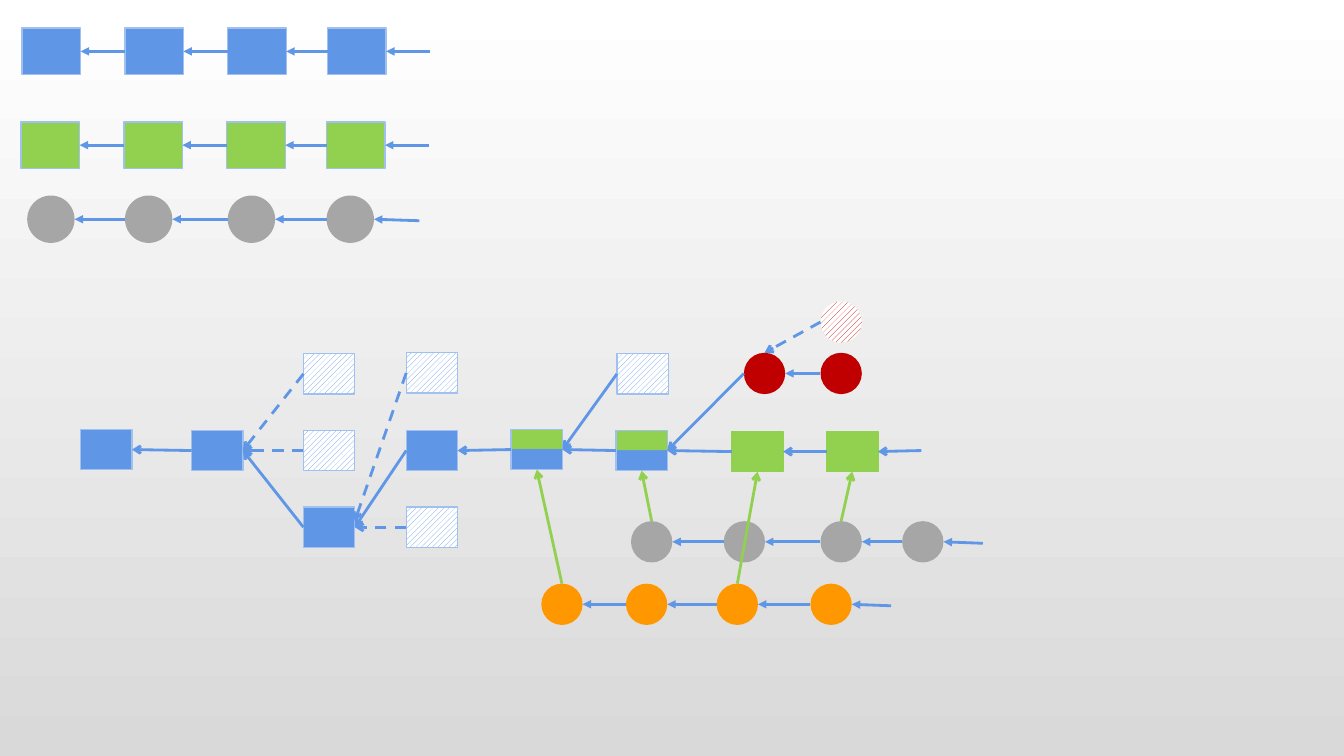
"""Build a slide of linked block chains and a branching block tree."""
from lxml import etree
from pptx import Presentation
from pptx.dml.color import RGBColor
from pptx.enum.dml import MSO_LINE, MSO_PATTERN
from pptx.enum.shapes import MSO_CONNECTOR, MSO_SHAPE
from pptx.oxml.ns import qn
from pptx.util import Emu, Pt

PX = 9144
RECT, OVAL = MSO_SHAPE.RECTANGLE, MSO_SHAPE.OVAL
STRAIGHT = MSO_CONNECTOR.STRAIGHT
HATCH = MSO_PATTERN.WIDE_UPWARD_DIAGONAL
DASH = MSO_LINE.DASH
TOP, LEFT, BOTTOM, RIGHT = range(4)
BLUE, PALE, GREEN, GREY = "6096E6", "A0C0F0", "92D050", "A6A6A6"
ORANGE, RED, WHITE = "FF9800", "C00000", "FFFFFF"
rgb = RGBColor.from_string

prs = Presentation()
prs.slide_width, prs.slide_height = Emu(12192000), Emu(750 * PX)
slide = prs.slides.add_slide(prs.slide_layouts[6])


def add_node(kind, left, top, size, style, colour, outline):
    node = slide.shapes.add_shape(kind, *(v * PX for v in (left, top, *size)))
    node.shadow.inherit = False
    if style == "hatched":
        node.fill.patterned()
        node.fill.pattern = HATCH
        node.fill.fore_color.rgb = rgb(colour)
        node.fill.back_color.rgb = rgb(WHITE)
    elif style == "split":
        node.fill.gradient()
        node.fill.gradient_angle = 270
        for stop, at, half in zip(node.fill.gradient_stops, (0.49, 0.5), (GREEN, BLUE)):
            stop.position, stop.color.rgb = at, rgb(half)
    else:
        node.fill.solid()
        node.fill.fore_color.rgb = rgb(colour)
    if outline:
        node.line.color.rgb = rgb(outline)
        node.line.width = Pt(1)
    else:
        node.line.fill.background()
    return node


def add_link(start, finish, arrow_end, arrow, colour=BLUE, dash=None):
    points = []
    for owner, side in (start, finish):
        if owner is None:
            points += [v * PX for v in side]
        else:
            points += [owner.left + int(owner.width * (0.5, 0, 0.5, 1)[side]),
                       owner.top + int(owner.height * (0, 0.5, 1, 0.5)[side])]
    link = slide.shapes.add_connector(STRAIGHT, *points)
    for (owner, side), join in ((start, link.begin_connect), (finish, link.end_connect)):
        if owner is not None and owner.auto_shape_type == RECT:
            join(owner, side)
    link.line.color.rgb = rgb(colour)
    link.line.width = Pt(2)
    if dash:
        link.line.dash_style = dash
    etree.SubElement(link.line._get_or_add_ln(), qn(f"a:{arrow_end}"), type=arrow)
    etree.SubElement(link._element.spPr, qn("a:effectLst"))


backdrop = slide.background.fill
backdrop.gradient()
backdrop.gradient_angle = 270
for stop, at, shade in zip(backdrop.gradient_stops, (0, 1), (WHITE, "D9D9D9")):
    stop.position, stop.color.rgb = at, rgb(shade)

BLOCK, COIN, SMALL_BLOCK, SMALL_COIN = (58, 46), (47, 47), (51, 40), (41, 41)
chains = {
    "blue": (RECT, BLOCK, BLUE, PALE, 28, (22, 124, 226, 325), (427, 51)),
    "green": (RECT, BLOCK, GREEN, PALE, 121, (21, 123, 225, 324), (426, 144)),
    "grey": (OVAL, COIN, GREY, None, 194, (27, 124, 226, 324), (416, 219)),
    "small grey": (OVAL, SMALL_COIN, GREY, None, 517, (626, 718, 814, 895), (975, 539)),
    "orange": (OVAL, SMALL_COIN, ORANGE, None, 579, (537, 621, 711, 804), (884, 601)),
    "red": (OVAL, SMALL_COIN, RED, None, 350, (738, 814), None),
}
nodes = {}
for chain, (kind, size, colour, outline, top, lefts, tail) in chains.items():
    row = [add_node(kind, left, top, size, "solid", colour, outline) for left in lefts]
    for older, newer in zip(row, row[1:]):
        add_link((older, RIGHT), (newer, LEFT), "headEnd", "triangle")
    if tail:
        add_link((row[-1], RIGHT), (None, tail), "headEnd", "triangle")
    for number, node in enumerate(row, 1):
        nodes[f"{chain} {number}"] = node

tree = {
    "root": (80, 426, "solid", BLUE, PALE),
    "fork": (190, 427, "solid", BLUE, PALE),
    "upper stale": (301, 351, "hatched", BLUE, PALE),
    "middle stale": (301, 427, "hatched", BLUE, PALE),
    "lower": (301, 503, "solid", BLUE, PALE),
    "late upper stale": (403, 350, "hatched", BLUE, PALE),
    "main": (403, 427, "solid", BLUE, PALE),
    "late lower stale": (403, 503, "hatched", BLUE, PALE),
    "split 1": (507, 426, "split", None, PALE),
    "split 2": (611, 427, "split", None, PALE),
    "split stale": (612, 351, "hatched", BLUE, PALE),
    "new 1": (726, 428, "solid", GREEN, GREEN),
    "new 2": (820, 428, "solid", GREEN, GREEN),
}
for name, (left, top, *look) in tree.items():
    nodes[name] = add_node(RECT, left, top, SMALL_BLOCK, *look)
nodes["red stale"] = add_node(OVAL, 814, 299, SMALL_COIN, "hatched", RED, None)

parents = [
    ("fork", "root", None), ("middle stale", "fork", DASH),
    ("upper stale", "fork", DASH), ("lower", "fork", None),
    ("main", "lower", None), ("late lower stale", "lower", DASH),
    ("split 1", "main", None), ("split 2", "split 1", None),
    ("split stale", "split 1", None), ("red 1", "split 2", None),
    ("new 1", "split 2", None), ("new 2", "new 1", None),
]
for child, parent, dash in parents:
    add_link((nodes[child], LEFT), (nodes[parent], RIGHT), "tailEnd", "arrow", dash=dash)
add_link((nodes["late upper stale"], LEFT), (None, (352, 517)), "tailEnd", "arrow", dash=DASH)
add_link((nodes["red stale"], LEFT), (nodes["red 1"], TOP), "tailEnd", "arrow", dash=DASH)
add_link((None, (914, 447)), (nodes["new 2"], RIGHT), "tailEnd", "arrow")

anchors = [("small grey 1", "split 2"), ("orange 1", "split 1"),
           ("small grey 3", "new 2"), ("orange 3", "new 1")]
for coin, block in anchors:
    add_link((nodes[coin], TOP), (nodes[block], BOTTOM), "tailEnd", "arrow", GREEN)

prs.save("out.pptx")
